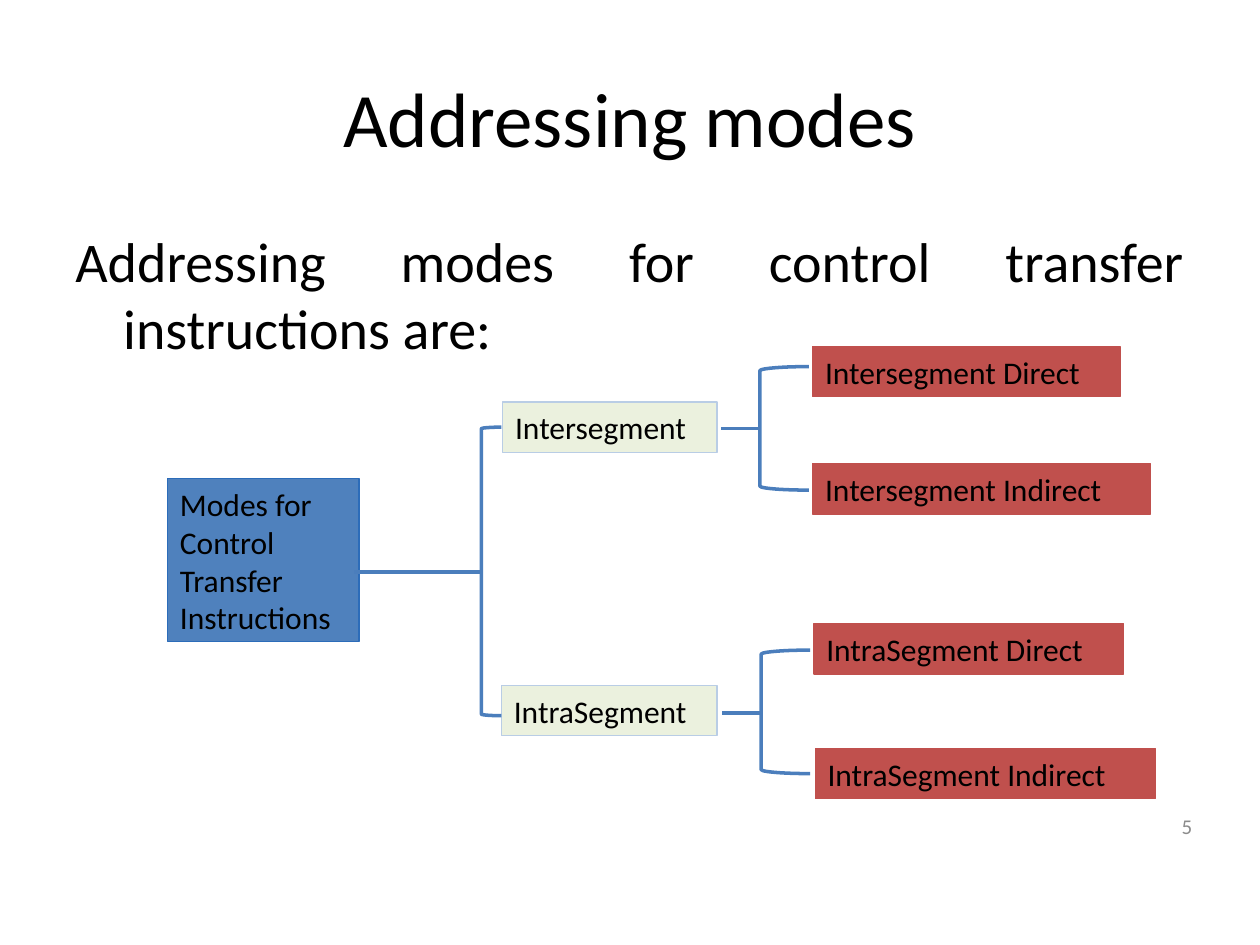
"""Build the slide on addressing modes for control transfer instructions."""
from lxml.etree import SubElement
from pptx import Presentation
from pptx.dml.color import RGBColor
from pptx.enum.shapes import MSO_CONNECTOR as LINE, MSO_SHAPE as SHAPE
from pptx.enum.text import MSO_ANCHOR as ANCHOR, PP_ALIGN as ALIGN
from pptx.oxml.ns import qn
from pptx.util import Inches, Pt


def rgb(value):
    return RGBColor.from_string(value)


def write(box, text, size, align=ALIGN.LEFT, anchor=ANCHOR.TOP, color="000000"):
    frame = box.text_frame
    frame.word_wrap = True
    frame.vertical_anchor = anchor
    frame.text = text
    for paragraph in frame.paragraphs:
        paragraph.alignment = align
        paragraph.font.name = "Calibri"
        paragraph.font.size = Pt(size)
        paragraph.font.color.rgb = rgb(color)
    return frame.paragraphs[0]


deck = Presentation()
deck.slide_width, deck.slide_height = Inches(10), Inches(7.5)
slide = deck.slides.add_slide(deck.slide_layouts[6])
shapes = slide.shapes

title = shapes.add_textbox(Inches(0.5), Inches(0.3), Inches(9), Inches(1.25))
write(title, "Addressing modes", 44, ALIGN.CENTER, ANCHOR.MIDDLE)

intro = shapes.add_textbox(Inches(0.5), Inches(1.75), Inches(9), Inches(4.95))
sentence = write(intro, "Addressing modes for control transfer instructions are:",
                 32, ALIGN.JUSTIFY)
sentence.space_before = Pt(6.4)
indent = sentence._p.get_or_add_pPr()
indent.set("marL", str(Inches(0.38)))
indent.set("indent", str(-Inches(0.38)))

ROOT = ("4F81BD", "2C6CB9")
BRANCH = ("EBF1DE", "B9CDE5")
LEAF = ("C0504D", "C0504D")
modes = [
    ("Modes for\nControl\nTransfer\nInstructions", 1.33, 3.8, 1.52, 1.29, ROOT),
    ("Intersegment", 3.99, 3.19, 1.7, 0.4, BRANCH),
    ("IntraSegment", 3.98, 5.44, 1.71, 0.4, BRANCH),
    ("Intersegment Direct", 6.45, 2.75, 2.44, 0.4, LEAF),
    ("Intersegment Indirect", 6.45, 3.68, 2.68, 0.4, LEAF),
    ("IntraSegment Direct", 6.46, 4.95, 2.46, 0.4, LEAF),
    ("IntraSegment Indirect", 6.47, 5.94, 2.7, 0.4, LEAF),
]
for label, left, top, width, height, (fill, outline) in modes:
    mode = shapes.add_shape(SHAPE.RECTANGLE, Inches(left), Inches(top),
                            Inches(width), Inches(height))
    mode.shadow.inherit = False
    mode.fill.solid()
    mode.fill.fore_color.rgb = rgb(fill)
    mode.line.color.rgb = rgb(outline)
    mode.line.width = Pt(0.75)
    write(mode, label, 18)

forks = [
    (3.82, 3.39, 0.16, 2.29, 2.81, 4.54),
    (6.03, 2.91, 0.39, 0.98, 5.72, 3.4),
    (6.04, 5.16, 0.39, 0.98, 5.73, 5.66),
]
for left, top, width, height, stem_start, stem_y in forks:
    bracket = shapes.add_shape(SHAPE.LEFT_BRACKET, Inches(left), Inches(top),
                               Inches(width), Inches(height))
    bracket.shadow.inherit = False
    bracket.fill.background()
    stem = shapes.add_connector(LINE.STRAIGHT, Inches(left), Inches(stem_y),
                                Inches(stem_start), Inches(stem_y))
    for stroke in (bracket, stem):
        stroke.line.color.rgb = rgb("4B7EBC")
        stroke.line.width = Pt(2)
    SubElement(stem._element.spPr, qn("a:effectLst"))

page_number = shapes.add_textbox(Inches(8.89), Inches(6.27), Inches(0.67), Inches(0.57))
write(page_number, "5", 12, ALIGN.RIGHT, ANCHOR.MIDDLE, "8C8C8C")

deck.save("out.pptx")
